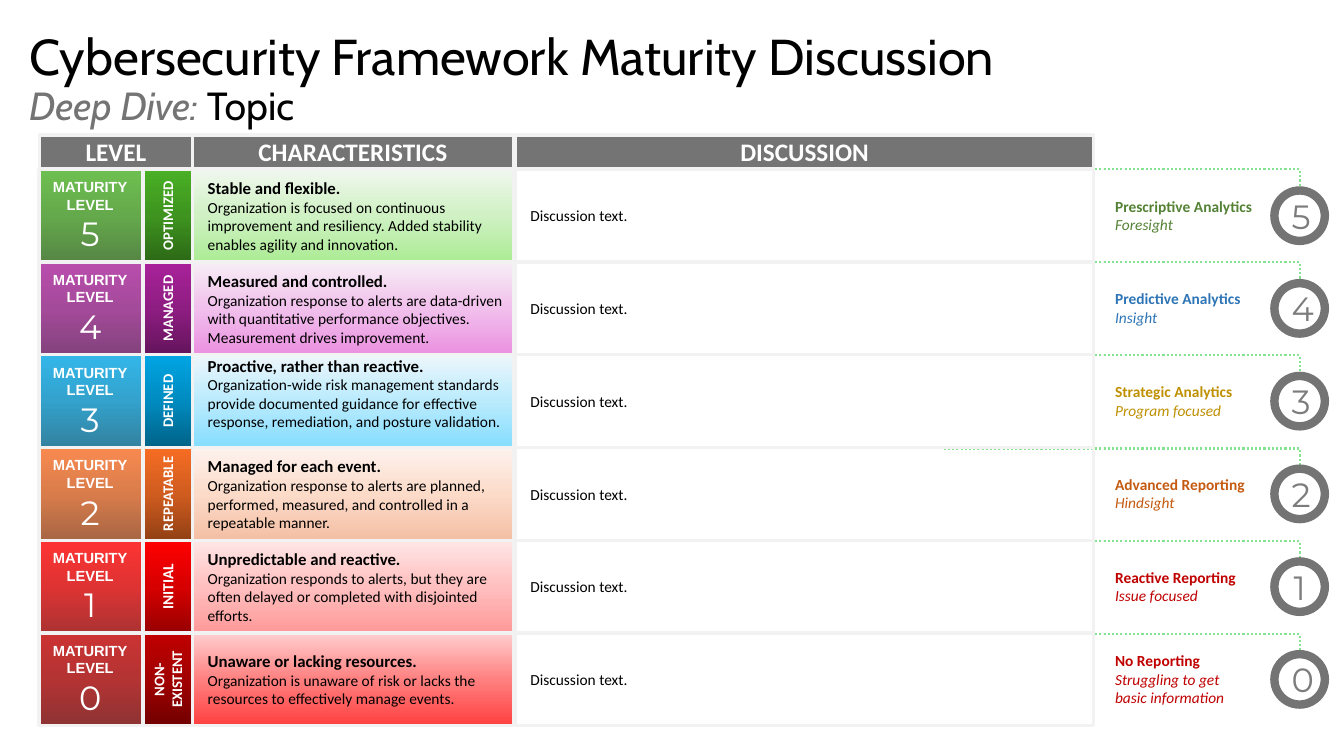
"""Builds the cybersecurity framework maturity discussion slide."""
from copy import deepcopy

from lxml.etree import SubElement
from pptx import Presentation
from pptx.dml.color import RGBColor
from pptx.enum.dml import MSO_LINE
from pptx.enum.shapes import MSO_CONNECTOR, MSO_SHAPE as SHAPE
from pptx.enum.text import MSO_ANCHOR, PP_ALIGN as ALIGN
from pptx.oxml.ns import qn
from pptx.util import Inches, Pt

COLORS = {
    "black": "000000", "white": "FFFFFF", "gray": "747474", "digit": "7C7C7C",
    "border": "F2F2F2", "dots": "84E291", "green": "548235", "blue": "2E75B6",
    "gold": "BF9000", "orange": "C55A11", "red": "C00000",
}
STRONG = {
    5: ("2C6816", "3E941F", "4AB025"), 4: ("64145B", "8E1D82", "A9229A"),
    3: ("006287", "008BC0", "00A5E4"), 2: ("924015", "D05C1F", "F76D24"),
    1: ("970000", "D70000", "FF0000"), 0: ("720000", "A20000", "C00000"),
}
SOFT = {
    5: ("F0F7EE", "CFF1C3", "ABEB94"), 4: ("F7EEF5", "F1C0EC", "EB90E1"),
    3: ("EDF6FB", "BAEBFD", "85DDFF"), 2: ("FDF2EE", "FCDBC9", "F4BFA4"),
    1: ("FFE6E6", "FFBFBF", "FF9999"), 0: ("FFCFCF", "FF8080", "FF4040"),
}
LEVELS = [
    (5, ["OPTIMIZED"], "Stable and flexible.",
     "Organization is focused on continuous improvement and resiliency. "
     "Added stability enables agility and innovation.",
     "green", "Prescriptive Analytics", ["Foresight"]),
    (4, ["MANAGED"], "Measured and controlled.",
     "Organization response to alerts are data-driven with quantitative "
     "performance objectives. Measurement drives improvement.",
     "blue", "Predictive Analytics", ["Insight"]),
    (3, ["DEFINED"], "Proactive, rather than reactive.",
     "Organization-wide risk management standards provide documented guidance "
     "for effective response, remediation, and posture validation.",
     "gold", "Strategic Analytics", ["Program focused"]),
    (2, ["REPEATABLE"], "Managed for each event.",
     "Organization response to alerts are planned, performed, measured, "
     "and controlled in a repeatable manner.",
     "orange", "Advanced Reporting", ["Hindsight"]),
    (1, ["INITIAL"], "Unpredictable and reactive.",
     "Organization responds to alerts, but they are often delayed or "
     "completed with disjointed efforts.",
     "red", "Reactive Reporting", ["Issue focused"]),
    (0, ["NON-", "EXISTENT"], "Unaware or lacking resources.",
     "Organization is unaware of risk or lacks the resources to effectively "
     "manage events.",
     "red", "No Reporting", ["Struggling to get", "basic information"]),
]
TOP, ROW = 1.68, 0.92
PADDED = (0.15, 0.05, 0.1, 0.05)

deck = Presentation()
deck.slide_width, deck.slide_height = Inches(13.33), Inches(7.5)
slide = deck.slides.add_slide(deck.slide_layouts[6])


def add_box(left, top, width, height, kind=SHAPE.RECTANGLE, fill=None, angle=90,
            line="border", weight=2.25, insets=(0.1, 0.05, 0.1, 0.05)):
    place = [Inches(length) for length in (left, top, width, height)]
    if kind is None:
        box = slide.shapes.add_textbox(*place)
    else:
        box = slide.shapes.add_shape(kind, *place)
        box.shadow.inherit = False
        box.line.color.rgb = RGBColor.from_string(COLORS[line])
        box.line.width = Pt(weight)
    if fill is None:
        box.fill.background()
    elif isinstance(fill, tuple):
        box.fill.gradient()
        box.fill.gradient_angle = angle
        stops = box.fill._xPr.find(".//" + qn("a:gsLst"))
        stops.insert(1, deepcopy(stops[0]))
        stops[1].set("pos", "50000")
        for stop, color in zip(box.fill.gradient_stops, fill):
            stop.color.rgb = RGBColor.from_string(color)
    else:
        box.fill.solid()
        box.fill.fore_color.rgb = RGBColor.from_string(COLORS[fill])
    frame = box.text_frame
    frame.word_wrap = True
    frame.vertical_anchor = MSO_ANCHOR.MIDDLE
    (frame.margin_left, frame.margin_top,
     frame.margin_right, frame.margin_bottom) = [Inches(inset) for inset in insets]
    return box


def write(box, text, size=11, font="Calibri", color="black", bold=False,
          italic=False, align=ALIGN.LEFT, same_paragraph=False):
    paragraph = box.text_frame.paragraphs[-1]
    if paragraph.runs and not same_paragraph:
        paragraph = box.text_frame.add_paragraph()
    paragraph.alignment = align
    run = paragraph.add_run()
    run.text = text
    run.font.size, run.font.name = Pt(size), font
    run.font.bold, run.font.italic = bold, italic
    run.font.color.rgb = RGBColor.from_string(COLORS[color])
    return paragraph


title = add_box(0.19, 0.15, 13.15, 1.3, kind=None)
heading = write(title, "Cybersecurity Framework Maturity Discussion", size=36, font="Cabin")
heading.line_spacing = 0.9
heading.add_line_break()
write(title, "Deep Dive: ", size=28, font="Cabin", color="gray", italic=True, same_paragraph=True)
write(title, "Topic", size=28, font="Cabin", same_paragraph=True)

for row, (level, *_) in enumerate(LEVELS):
    circle_top = TOP + 0.21 + ROW * row
    start = TOP + ROW * row + (0.01 if level < 3 else 0)
    link = slide.shapes.add_connector(
        MSO_CONNECTOR.ELBOW, Inches(9.36), Inches(start), Inches(12.89), Inches(circle_top))
    link.line.color.rgb = RGBColor.from_string(COLORS["dots"])
    link.line.width = Pt(1.5)
    link.line.dash_style = MSO_LINE.ROUND_DOT
    properties = link._element.spPr
    properties.find(qn("a:prstGeom")).set("prst", "bentConnector2")
    SubElement(properties, qn("a:effectLst"))

    circle = add_box(12.64, circle_top, 0.5, 0.5, kind=SHAPE.OVAL, fill="white",
                     line="gray", weight=6)
    write(circle, str(level), size=24, font="Montserrat", color="digit", align=ALIGN.CENTER)

for left, width, column in [(0.39, 1.52, "LEVEL"), (1.91, 3.18, "CHARACTERISTICS"),
                            (5.11, 5.74, "DISCUSSION")]:
    header = add_box(left, 1.34, width, 0.33, fill="gray")
    write(header, column, size=18, color="white", bold=True, align=ALIGN.CENTER)

for row, (level, stage_lines, trait, detail, hue, analytics, focus_lines) in enumerate(LEVELS):
    top = TOP + ROW * row

    reporting = add_box(10.91, top + 0.17, 1.67, 0.57, kind=None, insets=PADDED)
    write(reporting, analytics, color=hue, bold=True)
    for focus in focus_lines:
        write(reporting, focus, color=hue, italic=True)

    traits = add_box(1.91, top, 3.18, ROW, fill=SOFT[level], angle=270, insets=PADDED)
    if level == 3:
        traits.text_frame.margin_bottom = Inches(0.21)
    write(traits, trait, size=12, bold=True)
    write(traits, detail)

    discussion = add_box(5.11, top, 5.74, ROW, insets=PADDED)
    write(discussion, "Discussion text.")

    maturity = add_box(0.38, top, 1.03, ROW, fill=STRONG[level])
    for word in ("MATURITY", "LEVEL"):
        write(maturity, word, size=10.5, font="Arial", color="white", bold=True,
              align=ALIGN.CENTER)
    write(maturity, str(level), size=24, font="Montserrat", color="white", align=ALIGN.CENTER)

    stage = add_box(1.41, top, 0.5, ROW, fill=STRONG[level], insets=(0, 0, 0, 0))
    stage.text_frame._txBody.bodyPr.set("vert", "vert270")
    for word in stage_lines:
        write(stage, word, size=11 if level == 1 else 10.5, color="white", bold=True,
              align=ALIGN.CENTER)

    veil = add_box(0.39, top, 1.03, ROW, fill="white")
    veil_color = veil.fill._xPr.find(qn("a:solidFill")).find(qn("a:srgbClr"))
    SubElement(veil_color, qn("a:alpha")).set("val", "20000")

deck.save("out.pptx")
